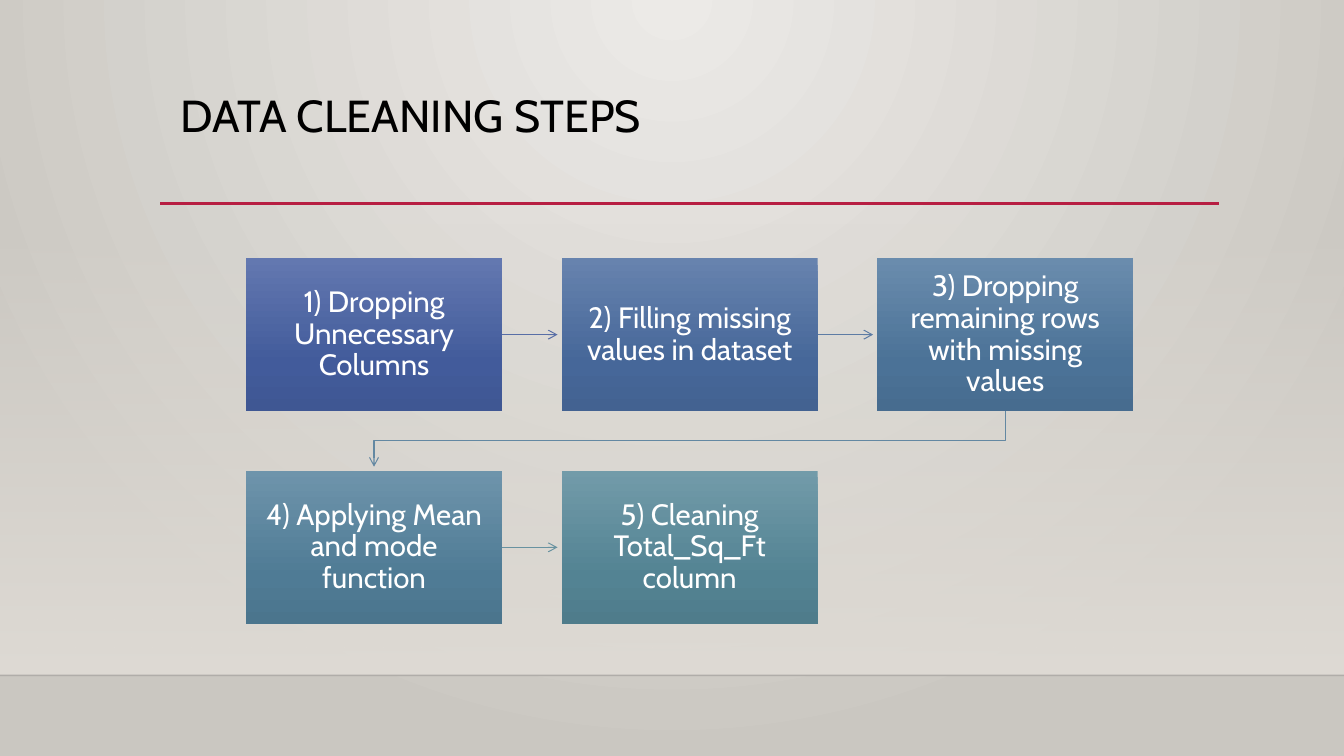
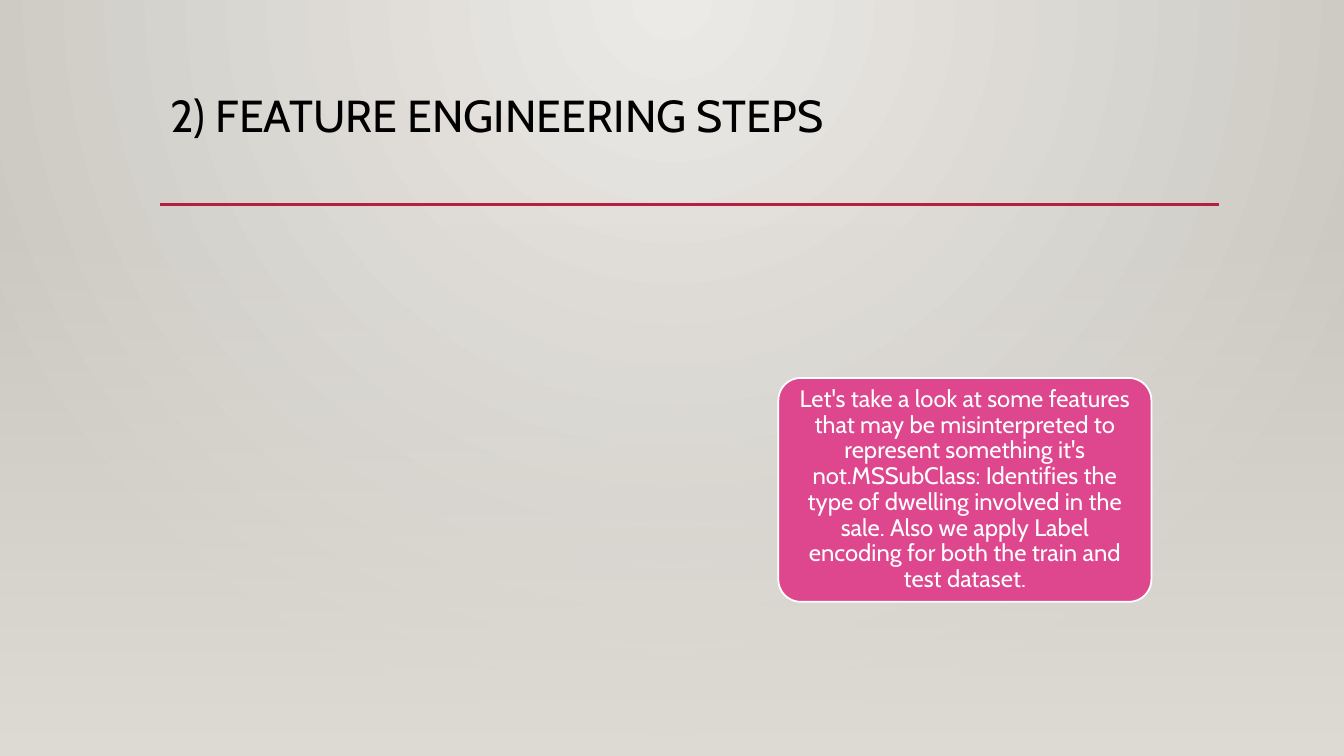
from pptx import Presentation
from pptx.dml.color import RGBColor
from pptx.enum.shapes import MSO_CONNECTOR as Link, MSO_SHAPE as Preset
from pptx.enum.text import MSO_ANCHOR as Anchor, MSO_AUTO_SIZE as AutoSize, PP_ALIGN as Align
from pptx.oxml import parse_xml
from pptx.oxml.ns import nsdecls, qn
from pptx.util import Inches, Pt

PAGE_WIDTH, PAGE_HEIGHT = 13.33, 7.5
FLOOR = 6.7
TITLE_LEFT, TITLE_TOP, TITLE_WIDTH, TITLE_HEIGHT = 1.59, 0.88, 10.5, 1.15
BOX_WIDTH, BOX_HEIGHT, BOX_GAP = 2.54, 1.52, 0.59
GRID_LEFT, GRID_TOP, GRID_COLUMNS = 2.44, 2.56, 3
ARROW_LENGTH = 0.55
RADIAL = '<a:path path="circle"><a:fillToRect l="43000" r="43000" b="100000"/></a:path>'
DOWNWARD = '<a:lin ang="5400000" scaled="0"/>'

STEPS = [
    ("1) Dropping Unnecessary Columns", ("6378B0", "425B9B", "3F5793"), "586EA6"),
    ("2) Filling missing values in dataset", ("6783AE", "466799", "436291"), "5D7CA4"),
    ("3) Dropping remaining rows with missing values", ("6A8CAD", "4B7297", "476C8F"), "6388A2"),
    ("4) Applying Mean and mode function", ("6E94AB", "4F7B95", "4B758D"), "6892A0"),
    ("5) Cleaning Total_Sq_Ft column", ("729BA9", "538393", "4F7C8B"), None),
]
FEATURE_NOTE = (
    "Let's take a look at some features that may be misinterpreted to represent "
    "something it's not.MSSubClass: Identifies the type of dwelling involved in the sale. "
    "Also we apply Label encoding for both the train and test dataset."
)


def color(value):
    """Turn a hex string into a colour."""
    return RGBColor.from_string(value)


def inches(*values):
    """Turn plain numbers into lengths."""
    return [Inches(value) for value in values]


def set_gradient(fill, element, stops, direction):
    """Give a fill gradient stops of (percent, colour, opacity percent)."""
    fill.gradient()
    gradient = element.find(".//" + qn("a:gradFill"))
    gradient.clear()
    marks = "".join(
        f'<a:gs pos="{place * 1000}"><a:srgbClr val="{value}">'
        f'<a:alpha val="{opacity * 1000}"/></a:srgbClr></a:gs>'
        for place, value, opacity in stops
    )
    source = f'<a:gradFill {nsdecls("a")}><a:gsLst>{marks}</a:gsLst>{direction}</a:gradFill>'
    for part in list(parse_xml(source)):
        gradient.append(part)


def set_text(frame, text, size, ink="FFFFFF", align=Align.CENTER, anchor=Anchor.MIDDLE,
             insets=(0.1, 0.05, 0.1, 0.05)):
    """Fill a text frame with one formatted paragraph."""
    frame.word_wrap = True
    frame.auto_size = AutoSize.NONE
    frame.vertical_anchor = anchor
    (frame.margin_left, frame.margin_top,
     frame.margin_right, frame.margin_bottom) = inches(*insets)
    para = frame.paragraphs[0]
    para.alignment = align
    para.line_spacing = 0.9
    span = para.add_run()
    span.text = text
    span.font.name = "Cabin"
    span.font.size = Pt(size)
    span.font.color.rgb = color(ink)


def set_stroke(shape, value, width, opacity=100, arrow=False):
    """Style a line or an open outline, with an optional arrowhead."""
    shape.line.color.rgb = color(value)
    shape.line.width = Pt(width)
    outline = shape.element.find(".//" + qn("a:ln"))
    if opacity < 100:
        alpha = parse_xml(f'<a:alpha {nsdecls("a")} val="{opacity * 1000}"/>')
        outline.find(".//" + qn("a:srgbClr")).append(alpha)
    if arrow:
        outline.append(parse_xml(f'<a:tailEnd {nsdecls("a")} type="arrow"/>'))
    shape.element.find(qn("p:spPr")).append(parse_xml(f'<a:effectLst {nsdecls("a")}/>'))


class SlideWriter:
    """Holds the deck style and the current page."""

    def __init__(self):
        """Start an empty widescreen deck."""
        self.deck = Presentation()
        self.deck.slide_width, self.deck.slide_height = inches(PAGE_WIDTH, PAGE_HEIGHT)
        self.page = None

    def start_page(self, title, rule_top, band_bottom, indent=0.1):
        """Add a page with backdrop, band, title and red rule."""
        self.page = self.deck.slides.add_slide(self.deck.slide_layouts[5])
        set_gradient(self.page.background.fill, self.page.element,
                     [(0, "ECEAE7", 100), (100, "CAC7C1", 100)], RADIAL)
        band = self.box(0, 2.21, PAGE_WIDTH, band_bottom - 2.21)
        set_gradient(band.fill, band.element,
                     [(0, "DFDBD5", 0), (100, "DFDBD5", 100)], DOWNWARD)
        self.line(TITLE_LEFT, rule_top, TITLE_LEFT + TITLE_WIDTH, rule_top, "B71E42", 2.5)
        heading = self.page.shapes.title
        heading.left, heading.top, heading.width, heading.height = inches(
            TITLE_LEFT, TITLE_TOP, TITLE_WIDTH, TITLE_HEIGHT)
        set_text(heading.text_frame, title, 32, ink="000000", align=Align.LEFT,
                 anchor=Anchor.TOP, insets=(indent, 0.05, 0.1, 0.05))

    def box(self, left, top, width, height, preset=Preset.RECTANGLE):
        """Add a preset shape without shadow or outline."""
        box = self.page.shapes.add_shape(preset, *inches(left, top, width, height))
        box.shadow.inherit = False
        box.line.fill.background()
        return box

    def line(self, x1, y1, x2, y2, value, width, opacity=100, arrow=False):
        """Add a straight line."""
        line = self.page.shapes.add_connector(Link.STRAIGHT, *inches(x1, y1, x2, y2))
        set_stroke(line, value, width, opacity, arrow)
        return line

    def bent_arrow(self, points, value):
        """Add an open arrow through the given points."""
        start, *rest = [tuple(inches(*point)) for point in points]
        builder = self.page.shapes.build_freeform(*start, scale=1.0)
        builder.add_line_segments(rest, close=False)
        arrow = builder.convert_to_shape()
        arrow.fill.background()
        set_stroke(arrow, value, 0.75, arrow=True)

    def step(self, index, text, shades, arrow_color):
        """Add one step of the flow and the arrow that leaves it."""
        row, column = divmod(index, GRID_COLUMNS)
        left = GRID_LEFT + column * (BOX_WIDTH + BOX_GAP)
        top = GRID_TOP + row * (BOX_HEIGHT + BOX_GAP)
        box = self.box(left, top, BOX_WIDTH, BOX_HEIGHT)
        stops = [(place, shade, 100) for place, shade in zip((0, 69, 100), shades)]
        set_gradient(box.fill, box.element, stops, DOWNWARD)
        set_text(box.text_frame, text, 21, insets=(0.12, 0.13, 0.12, 0.13))
        if arrow_color is None:
            return
        right, bottom = left + BOX_WIDTH, top + BOX_HEIGHT
        if column < GRID_COLUMNS - 1:
            middle = top + BOX_HEIGHT / 2
            arrow = self.line(right, middle, right + ARROW_LENGTH, middle,
                              arrow_color, 0.75, arrow=True)
            arrow.begin_connect(box, 3)
        else:
            start, end = left + BOX_WIDTH / 2, GRID_LEFT + BOX_WIDTH / 2
            turn = bottom + BOX_GAP / 2
            self.bent_arrow([(start, bottom), (start, turn), (end, turn),
                             (end, bottom + ARROW_LENGTH)], arrow_color)

    def note(self, text):
        """Add the rounded pink note."""
        note = self.box(7.72, 3.75, 3.7, 2.22, Preset.ROUNDED_RECTANGLE)
        note.adjustments[0] = 0.1
        note.fill.solid()
        note.fill.fore_color.rgb = color("DE478E")
        note.line.color.rgb = color("FFFFFF")
        note.line.width = Pt(1.25)
        set_text(note.text_frame, text, 17, insets=(0.07, 0.07, 0.07, 0.07))


def main():
    """Build both slides."""
    writer = SlideWriter()
    writer.start_page("DATA CLEANING STEPS", 2.02, FLOOR, indent=0.2)
    writer.line(0, FLOOR, PAGE_WIDTH, FLOOR, "000001", 1, opacity=20)
    for index, step in enumerate(STEPS):
        writer.step(index, *step)
    writer.start_page("2) FEATURE ENGINEERING STEPS", 2.03, PAGE_HEIGHT)
    writer.note(FEATURE_NOTE)
    writer.deck.save("out.pptx")


if __name__ == "__main__":
    main()
